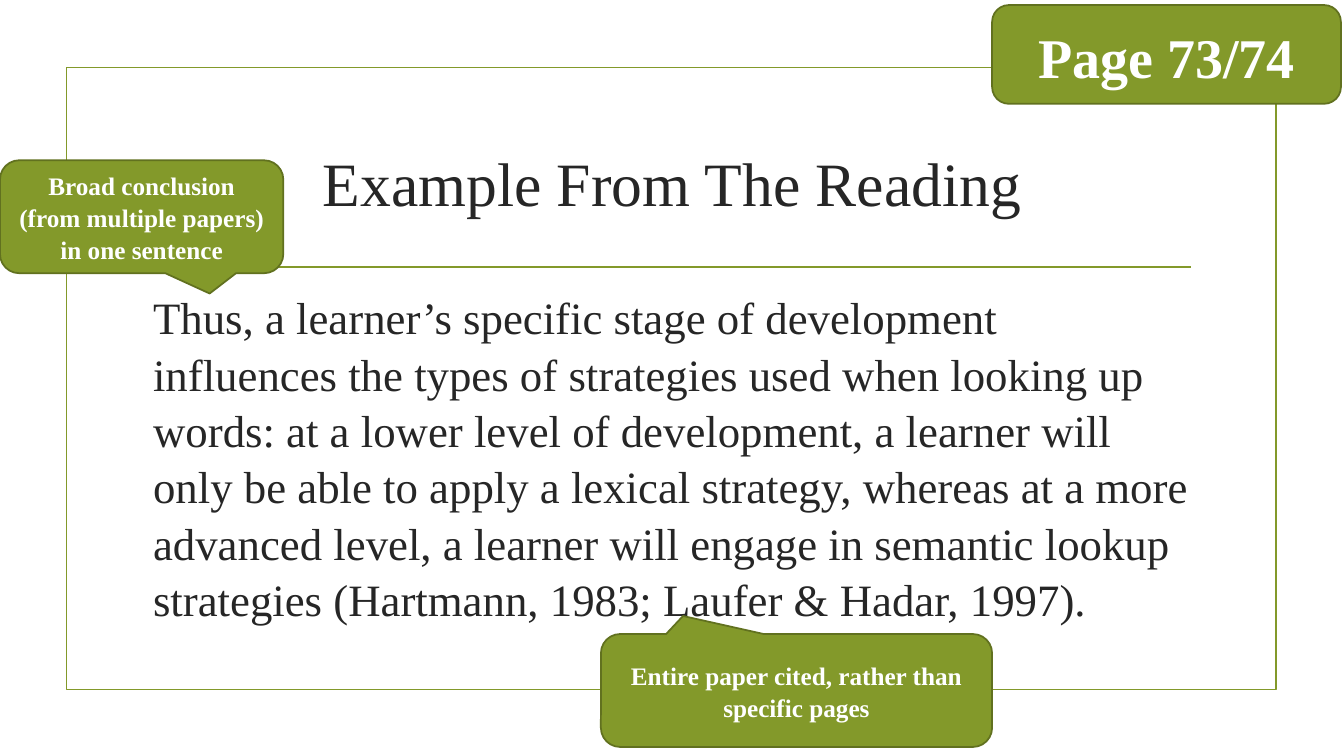
from dataclasses import dataclass

from lxml import etree
from pptx import Presentation
from pptx.dml.color import RGBColor
from pptx.enum.shapes import MSO_CONNECTOR, MSO_SHAPE
from pptx.enum.text import MSO_ANCHOR, PP_ALIGN
from pptx.oxml.ns import qn
from pptx.util import Inches, Pt

RECT = MSO_SHAPE.RECTANGLE
ROUNDED = MSO_SHAPE.ROUNDED_RECTANGLE
CALLOUT = MSO_SHAPE.ROUNDED_RECTANGULAR_CALLOUT
STRAIGHT = MSO_CONNECTOR.STRAIGHT
TOP, MIDDLE = MSO_ANCHOR.TOP, MSO_ANCHOR.MIDDLE
LEFT, CENTER = PP_ALIGN.LEFT, PP_ALIGN.CENTER
FONT = "Times New Roman"
LINE_WIDTH = Pt(1.25)
COLORS = {"olive": "83992A", "edge": "61711F", "ink": "262626", "white": "FFFFFF"}
QUOTE = (
    "Thus, a learner’s specific stage of development influences the types of "
    "strategies used when looking up words: at a lower level of development, "
    "a learner will only be able to apply a lexical strategy, whereas at a more "
    "advanced level, a learner will engage in semantic lookup strategies "
    "(Hartmann, 1983; Laufer & Hadar, 1997)."
)


@dataclass
class Label:
    kind: MSO_SHAPE
    box: tuple[float, float, float, float]
    text: str
    size: int
    adjustments: tuple[float, ...]


LABELS = [
    Label(CALLOUT, (0, 1.59, 2.81, 1.12),
          "Broad conclusion (from multiple papers) in one sentence", 18, (0.24, 0.68, 0.17)),
    Label(CALLOUT, (5.96, 6.29, 3.88, 1.12),
          "Entire paper cited, rather than specific pages", 18, (-0.29, -0.66, 0.17)),
    Label(ROUNDED, (9.84, 0.05, 3.46, 0.98), "Page 73/74", 40, (0.17,)),
]


def rgb(name: str) -> RGBColor:
    return RGBColor.from_string(COLORS[name])


def set_text(sp, text: str, size: int, color: str, align: PP_ALIGN = CENTER,
             anchor: MSO_ANCHOR = MIDDLE, bold: bool = False) -> None:
    tf = sp.text_frame
    tf.text = text
    tf.word_wrap = True
    tf.vertical_anchor = anchor
    p = tf.paragraphs[0]
    p.alignment = align
    p.line_spacing = 1.05
    font = p.runs[0].font
    font.name, font.size, font.bold = FONT, Pt(size), bold
    font.color.rgb = rgb(color)


def set_line(sp, color: str) -> None:
    sp.line.color.rgb = rgb(color)
    sp.line.width = LINE_WIDTH


def add_label(s, label: Label) -> None:
    sp = s.shapes.add_shape(label.kind, *map(Inches, label.box))
    sp.shadow.inherit = False
    for i, value in enumerate(label.adjustments):
        sp.adjustments[i] = value
    sp.fill.solid()
    sp.fill.fore_color.rgb = rgb("olive")
    set_line(sp, "edge")
    set_text(sp, label.text, label.size, "white", bold=True)


def add_frame(s) -> None:
    frame = s.shapes.add_shape(RECT, *map(Inches, (0.66, 0.67, 12, 6.17)))
    frame.shadow.inherit = False
    frame.fill.background()
    set_line(frame, "olive")
    rule = s.shapes.add_connector(STRAIGHT, *map(Inches, (1.53, 2.65, 11.81, 2.65)))
    set_line(rule, "olive")
    etree.SubElement(rule._element.spPr, qn("a:effectLst"))


def main() -> None:
    prs = Presentation()
    prs.slide_width, prs.slide_height = Inches(13.33), Inches(7.5)
    s = prs.slides.add_slide(prs.slide_layouts[5])
    add_frame(s)
    title = s.shapes.title
    title.left, title.top, title.width, title.height = map(Inches, (1.42, 1.07, 10.5, 1.43))
    set_text(title, "Example From The Reading", 44, "ink")
    quote = s.shapes.add_textbox(*map(Inches, (1.42, 2.8, 10.5, 3.3)))
    set_text(quote, QUOTE, 32, "ink", LEFT, TOP)
    for label in LABELS:
        add_label(s, label)
    prs.save("out.pptx")


if __name__ == "__main__":
    main()
